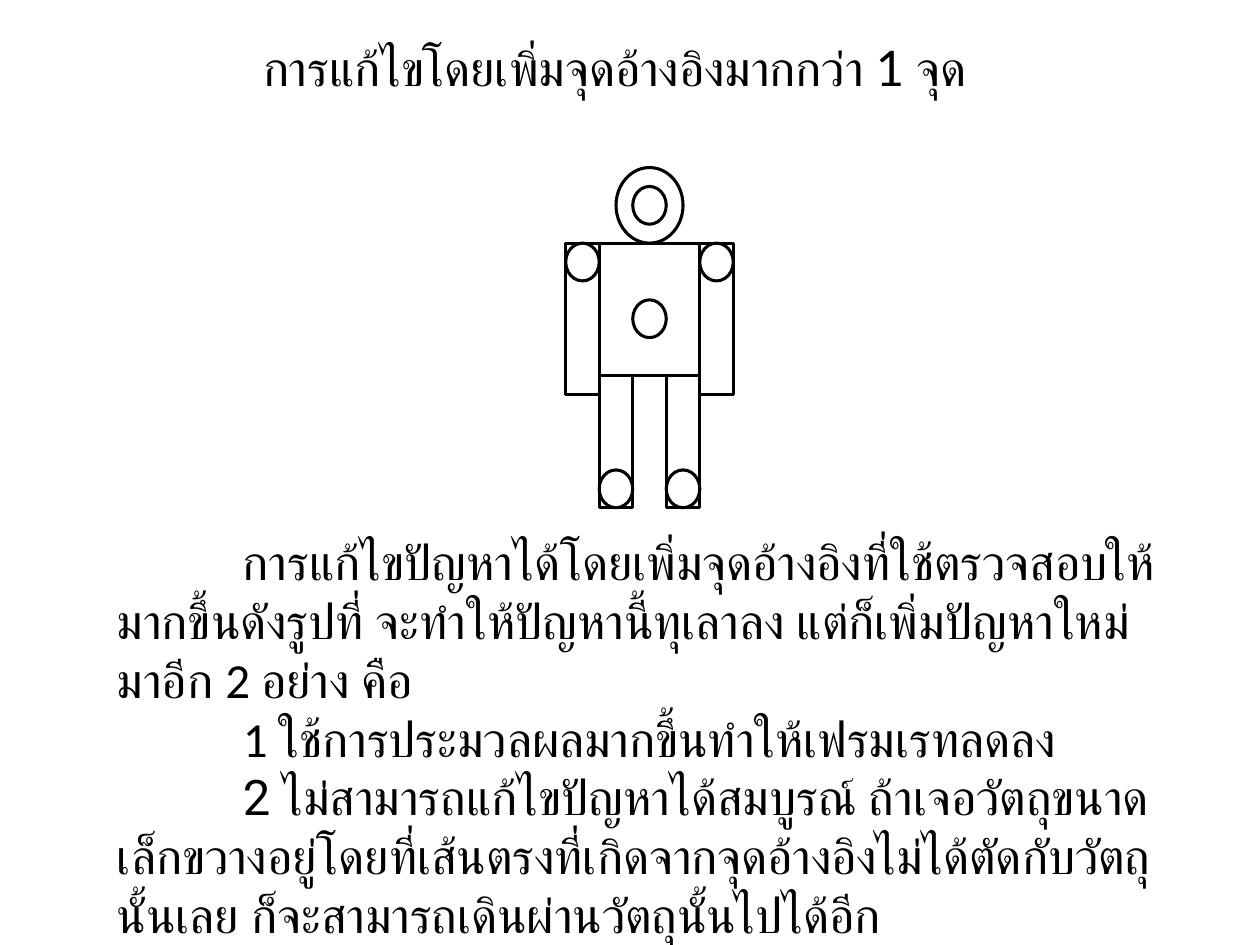
from dataclasses import dataclass

from lxml import etree
from pptx import Presentation
from pptx.dml.color import RGBColor
from pptx.enum.shapes import MSO_SHAPE
from pptx.enum.text import MSO_ANCHOR, MSO_AUTO_SIZE, PP_ALIGN
from pptx.oxml.ns import qn
from pptx.shapes.group import GroupShape
from pptx.text.text import TextFrame, _Paragraph
from pptx.util import Inches, Pt

OVAL, RECTANGLE = MSO_SHAPE.OVAL, MSO_SHAPE.RECTANGLE
TOP, CENTER = MSO_ANCHOR.TOP, PP_ALIGN.CENTER
NO_AUTOFIT = MSO_AUTO_SIZE.NONE
BLACK = RGBColor(0, 0, 0)
WHITE = RGBColor(255, 255, 255)

TITLE_ONLY = 5
FIGURE_LEFT, FIGURE_TOP = 4.49, 1.33
COLUMN, ROW = 1.33 / 5, 0.15
FRAME_FORMAT = {
    "word_wrap": True,
    "auto_size": NO_AUTOFIT,
    "vertical_anchor": TOP,
    "margin_left": Inches(0.1),
    "margin_right": Inches(0.1),
    "margin_top": Inches(0.05),
    "margin_bottom": Inches(0.05),
}


@dataclass(frozen=True)
class BodyPart:
    """A part of the figure, measured in grid columns and rows."""
    kind: MSO_SHAPE
    column: float
    row: float
    columns: float
    rows: float


@dataclass(frozen=True)
class Span:
    text: str
    font: str = "Calibri"


def reference_point(column: float, row: float) -> BodyPart:
    return BodyPart(OVAL, column, row, 1, 2)


FIGURE = [
    BodyPart(OVAL, 1.5, 0, 2, 4),
    BodyPart(RECTANGLE, 1, 4, 3, 7),
    *(BodyPart(RECTANGLE, column, 11, 1, 7) for column in (1, 3)),
    *(BodyPart(RECTANGLE, column, 4, 1, 8) for column in (0, 4)),
    reference_point(2, 7),
    reference_point(0, 4),
    reference_point(2, 1),
    reference_point(4, 4),
    reference_point(1, 16),
    reference_point(3, 16),
]

TITLE = Span("การแก้ไขโดยเพิ่มจุดอ้างอิงมากกว่า 1 จุด", "Lato")
EXPLANATION = [
    [Span("\tการแก้ไขปัญหาได้โดยเพิ่มจุดอ้างอิงที่ใช้ตรวจสอบให้มากขึ้นดังรูปที่ "
          "จะทำให้ปัญหานี้ทุเลาลง แต่ก็เพิ่มปัญหาใหม่มาอีก 2 อย่าง คือ")],
    [Span("\t1 ใช้การประมวลผลมากขึ้นทำให้เฟรมเรทลดลง")],
    [Span("\t"),
     Span("2 ไม่สามารถแก้ไขปัญหาได้สมบูรณ์ "
          "ถ้าเจอวัตถุขนาดเล็กขวางอยู่โดยที่เส้นตรงที่เกิดจากจุดอ้างอิงไม่ได้ตัดกับวัตถุนั้นเลย "
          "ก็จะสามารถเดินผ่านวัตถุนั้นไปได้อีก", "Roboto")],
]


def set_format(target: object, values: dict) -> None:
    for name, value in values.items():
        setattr(target, name, value)


def add_span(para: _Paragraph, span: Span) -> None:
    run = para.add_run()
    run.text = span.text
    set_format(run.font, {"name": span.font, "size": Pt(28)})
    run.font.color.rgb = BLACK


def add_tab_stop(para: _Paragraph, position: Inches) -> None:
    tabs = etree.SubElement(para._p.get_or_add_pPr(), qn("a:tabLst"))
    etree.SubElement(tabs, qn("a:tab"), pos=str(position), algn="l")


def write_explanation(frame: TextFrame) -> None:
    for index, spans in enumerate(EXPLANATION):
        para = frame.add_paragraph() if index else frame.paragraphs[0]
        add_tab_stop(para, Inches(1))
        for span in spans:
            add_span(para, span)


def draw_part(group: GroupShape, part: BodyPart) -> None:
    shape = group.shapes.add_shape(
        part.kind,
        Inches(FIGURE_LEFT + part.column * COLUMN),
        Inches(FIGURE_TOP + part.row * ROW),
        Inches(part.columns * COLUMN),
        Inches(part.rows * ROW),
    )
    shape.shadow.inherit = False
    shape.fill.solid()
    shape.fill.fore_color.rgb = WHITE
    shape.line.color.rgb = BLACK
    shape.line.width = Pt(1.75)


def main() -> None:
    deck = Presentation()
    set_format(deck, {"slide_width": Inches(10), "slide_height": Inches(7.5)})
    page = deck.slides.add_slide(deck.slide_layouts[TITLE_ONLY])

    figure = page.shapes.add_group_shape()
    for part in FIGURE:
        draw_part(figure, part)

    box = page.shapes.add_textbox(Inches(0.83), Inches(4.17), Inches(8.58), Inches(3.37))
    set_format(box.text_frame, FRAME_FORMAT)
    write_explanation(box.text_frame)

    title = page.shapes.title
    set_format(title, {"left": Inches(0.42), "top": Inches(0.25),
                       "width": Inches(8.92), "height": Inches(0.57)})
    set_format(title.text_frame, FRAME_FORMAT)
    heading = title.text_frame.paragraphs[0]
    heading.alignment = CENTER
    add_span(heading, TITLE)

    deck.save("out.pptx")


if __name__ == "__main__":
    main()
